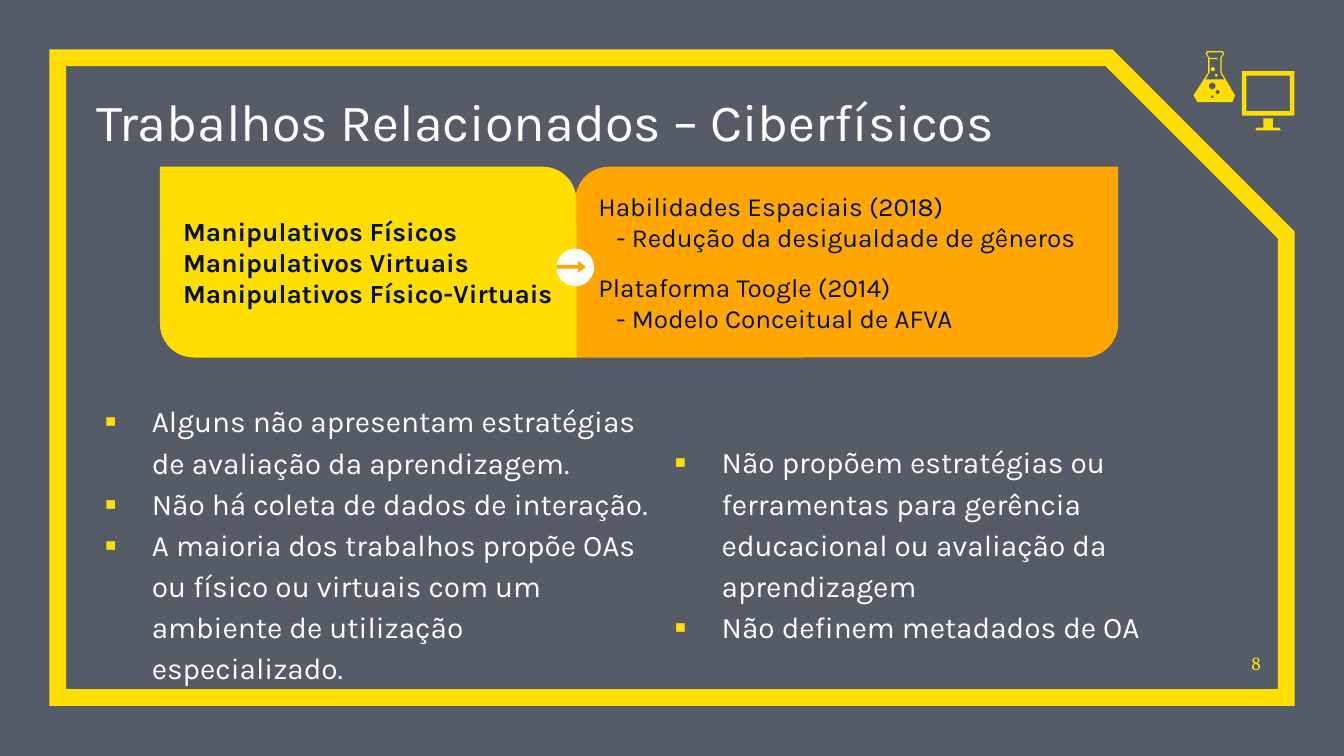
from dataclasses import dataclass
from math import cos, pi, sin

from lxml.etree import SubElement
from pptx import Presentation
from pptx.dml.color import RGBColor
from pptx.enum.shapes import MSO_SHAPE as Shape
from pptx.enum.text import MSO_ANCHOR as Anchor, MSO_AUTO_SIZE as AutoSize, PP_ALIGN as Align
from pptx.oxml.ns import qn
from pptx.util import Emu, Inches, Pt

YELLOW, ORANGE, WHITE, NAVY, SLATE = "FFDE00", "FFA700", "FFFFFF", "040F20", "555C67"
SLIDE_WIDTH, SLIDE_HEIGHT = Inches(10), Inches(5.625)
COLUMNS = 100
CELL = SLIDE_WIDTH / COLUMNS
FINENESS = 100


@dataclass
class Box:
    """A rectangle measured in square grid cells, 100 across the slide."""
    left: float
    top: float
    width: float
    height: float

    def emu(self) -> tuple:
        """Return the rectangle in slide units."""
        return tuple(Emu(round(side * CELL)) for side in
                     (self.left, self.top, self.width, self.height))


@dataclass
class Style:
    """Look of the text in one paragraph."""
    size: float
    color: str
    bold: bool = False
    font: str = "Karla"
    align: Align = Align.LEFT
    before: float = 0
    spacing: float = 1.0
    margin: float = 0
    hanging: float = 0
    bullet: str = ""


@dataclass
class Line:
    """One paragraph and its style."""
    wording: str
    style: Style


@dataclass
class Panel:
    """A coloured block with two opposite corners rounded."""
    box: Box
    color: str
    corners: tuple
    lines: list


def rgb(color: str) -> RGBColor:
    """Turn a hex string into a colour."""
    return RGBColor.from_string(color)


def write(holder, lines: list, anchor: Anchor, inset: float = 0) -> None:
    """Fill a text frame with styled paragraphs."""
    frame = holder.text_frame
    frame.word_wrap, frame.auto_size, frame.vertical_anchor = True, AutoSize.NONE, anchor
    frame.margin_left = frame.margin_right = Emu(round(inset * CELL))
    frame.margin_top = frame.margin_bottom = Emu(round(inset * CELL))
    for position, line in enumerate(lines):
        style = line.style
        paragraph = frame.add_paragraph() if position else frame.paragraphs[0]
        paragraph.alignment, paragraph.line_spacing = style.align, style.spacing
        paragraph.space_before = Pt(style.before)
        properties = paragraph._p.get_or_add_pPr()
        properties.set("marL", str(round(style.margin * CELL)))
        properties.set("indent", str(round(-style.hanging * CELL)))
        if style.bullet:
            tint = SubElement(properties, qn("a:buClr"))
            SubElement(tint, qn("a:srgbClr"), val=YELLOW)
            SubElement(properties, qn("a:buFont"), typeface=style.font)
            SubElement(properties, qn("a:buChar"), char=style.bullet)
        else:
            SubElement(properties, qn("a:buNone"))
        run = paragraph.add_run()
        run.text = line.wording
        run.font.name, run.font.size, run.font.bold = style.font, Pt(style.size), style.bold
        run.font.color.rgb = rgb(style.color)


def paint(shape, color: str) -> None:
    """Give a shape a flat fill without line or shadow."""
    shape.shadow.inherit = False
    shape.fill.solid()
    shape.fill.fore_color.rgb = rgb(color)
    shape.line.fill.background()


def draw(shapes, kind: Shape, box: Box, color: str, adjustments: tuple = ()):
    """Draw a flat preset shape."""
    shape = shapes.add_shape(kind, *box.emu())
    for position, value in enumerate(adjustments):
        shape.adjustments[position] = value
    paint(shape, color)
    return shape


def outline(shapes, contours: list, color: str) -> None:
    """Draw closed contours as one flat shape, inner ones being holes."""
    fine = [[(round(x * FINENESS), round(y * FINENESS)) for x, y in contour]
            for contour in contours]
    builder = shapes.build_freeform(*fine[0][0], scale=CELL / FINENESS)
    builder.add_line_segments(fine[0][1:], close=True)
    for contour in fine[1:]:
        builder.move_to(*contour[0])
        builder.add_line_segments(contour[1:], close=True)
    paint(builder.convert_to_shape(), color)


def bubble(x: float, y: float, radius: float) -> list:
    """Return the points of a circle."""
    turns = [2 * pi * step / 20 for step in range(20)]
    return [(x + radius * cos(turn), y + radius * sin(turn)) for turn in turns]


def place(placeholder, box: Box) -> None:
    """Move a placeholder onto the grid."""
    placeholder.left, placeholder.top, placeholder.width, placeholder.height = box.emu()


def add_title(title, wording: str) -> None:
    """Write the slide title with a soft shadow."""
    place(title, Box(7.2, 6, 78.4, 5.3))
    write(title, [Line(wording, Style(28, WHITE))], Anchor.BOTTOM)
    properties = title.text_frame.paragraphs[0].runs[0].font._element
    effects = SubElement(properties, qn("a:effectLst"))
    shadow = SubElement(effects, qn("a:outerShdw"), blurRad="38100", dist="38100", dir="2700000")
    tint = SubElement(shadow, qn("a:srgbClr"), val="000000")
    SubElement(tint, qn("a:alpha"), val="43000")
    properties.find(qn("a:latin")).addprevious(effects)


def add_frame(shapes) -> None:
    """Draw the yellow frame with its cut corner."""
    frame = shapes.add_shape(Shape.SNIP_1_RECTANGLE, *Box(4.3, 4.3, 91.4, 47.6).emu())
    frame.adjustments[0] = 0.277
    frame.shadow.inherit = False
    frame.fill.background()
    frame.line.color.rgb, frame.line.width = rgb(YELLOW), Pt(9)
    SubElement(frame.line._get_or_add_ln(), qn("a:miter"), lim="800000")


def add_icons(shapes) -> None:
    """Draw the flask and the monitor."""
    glass = [(89.8, 3.8), (91, 3.8), (91.1, 4), (90.9, 4.3), (90.9, 5.4), (91.9, 7.1),
             (91.7, 7.6), (89.1, 7.6), (88.8, 7.1), (89.9, 5.4), (89.9, 4.3), (89.7, 4)]
    hollow = [(89.9, 3.9), (90.9, 3.9), (91, 4), (90.8, 4.3), (90.8, 5.4), (91.1, 5.9),
              (89.7, 5.9), (90, 5.4), (90, 4.3), (89.8, 4)]
    holes = [bubble(90.2, 6.4, 0.25), bubble(90.6, 6.85, 0.15), bubble(90.2, 7.2, 0.1)]
    flask = shapes.add_group_shape().shapes
    outline(flask, [glass, hollow, *holes], YELLOW)
    draw(flask, Shape.OVAL, Box(90.4, 5.5, 0.2, 0.2), YELLOW)
    draw(flask, Shape.OVAL, Box(90.1, 5, 0.3, 0.3), YELLOW)
    draw(flask, Shape.RECTANGLE, Box(90, 4.3, 0.6, 0.1), YELLOW)

    monitor = shapes.add_group_shape().shapes
    stand = [(94, 8.8), (94.7, 8.8), (94.7, 9.5), (95.2, 9.5), (95.3, 9.7),
             (93.4, 9.7), (93.5, 9.5), (94, 9.5)]
    outline(monitor, [stand], YELLOW)
    draw(monitor, Shape.FRAME, Box(92.4, 5.3, 3.9, 3.3), YELLOW, (0.1,))


def add_panels(shapes) -> None:
    """Draw the two joined panels and the arrow between them."""
    study, kind = Style(14, NAVY), Style(14, NAVY, bold=True)
    later, finding = Style(14, NAVY, before=10), Style(14, NAVY, margin=1.35)
    panels = [
        Panel(Box(42.8, 12.4, 40.4, 14.2), ORANGE, (0.178, 0), [
            Line("Habilidades Espaciais (2018)", study),
            Line("- Redução da desigualdade de gêneros", finding),
            Line("Plataforma Toogle (2014)", later),
            Line("- Modelo Conceitual de AFVA", finding)]),
        Panel(Box(11.9, 12.4, 31, 14.2), YELLOW, (0, 0.178), [
            Line("Manipulativos " + name, kind)
            for name in ("Físicos", "Virtuais", "Físico-Virtuais")]),
    ]
    for panel in panels:
        block = draw(shapes, Shape.ROUND_2_DIAG_RECTANGLE, panel.box, panel.color, panel.corners)
        write(block, panel.lines, Anchor.MIDDLE, inset=1)
    badge = shapes.add_group_shape().shapes
    draw(badge, Shape.OVAL, Box(41.4, 18.5, 2.8, 2.8), WHITE)
    draw(badge, Shape.RIGHT_ARROW, Box(41.4, 19.4, 2.2, 0.9), ORANGE, (0.32, 0.67))


def main() -> None:
    """Build and save the slide."""
    deck = Presentation()
    deck.slide_width, deck.slide_height = SLIDE_WIDTH, SLIDE_HEIGHT
    slide = deck.slides.add_slide(deck.slide_layouts[3])
    slide.background.fill.solid()
    slide.background.fill.fore_color.rgb = rgb(SLATE)
    title, left_list, right_list = slide.placeholders
    add_frame(slide.shapes)
    add_title(title, "Trabalhos Relacionados – Ciberfísicos")
    add_panels(slide.shapes)
    add_icons(slide.shapes)

    point = Style(16, WHITE, spacing=1.15, margin=5, hanging=3.5, bullet="▪")
    list_width, list_top, text_row = 42.4, 29.6, 3.05
    limits = [
        (left_list, 0, 0, ["Alguns não apresentam estratégias de avaliação da aprendizagem.",
                           "Não há coleta de dados de interação.",
                           "A maioria dos trabalhos propõe OAs ou físico ou virtuais com um "
                           "ambiente de utilização especializado."]),
        (right_list, 1, 1, ["Não propõem estratégias ou ferramentas para gerência educacional "
                            "ou avaliação da aprendizagem",
                            "Não definem metadados de OA"]),
    ]
    for holder, column, row, wordings in limits:
        place(holder, Box(6.3 + column * list_width, list_top + row * text_row,
                          list_width, 20.7 - row * text_row))
        write(holder, [Line(wording, point) for wording in wordings], Anchor.TOP)

    number = slide.shapes.add_textbox(*Box(91.1, 47.4, 2.7, 2.8).emu())
    write(number, [Line("8", Style(10, YELLOW, font="Cambria", align=Align.RIGHT))], Anchor.BOTTOM)
    deck.save("out.pptx")


if __name__ == "__main__":
    main()
